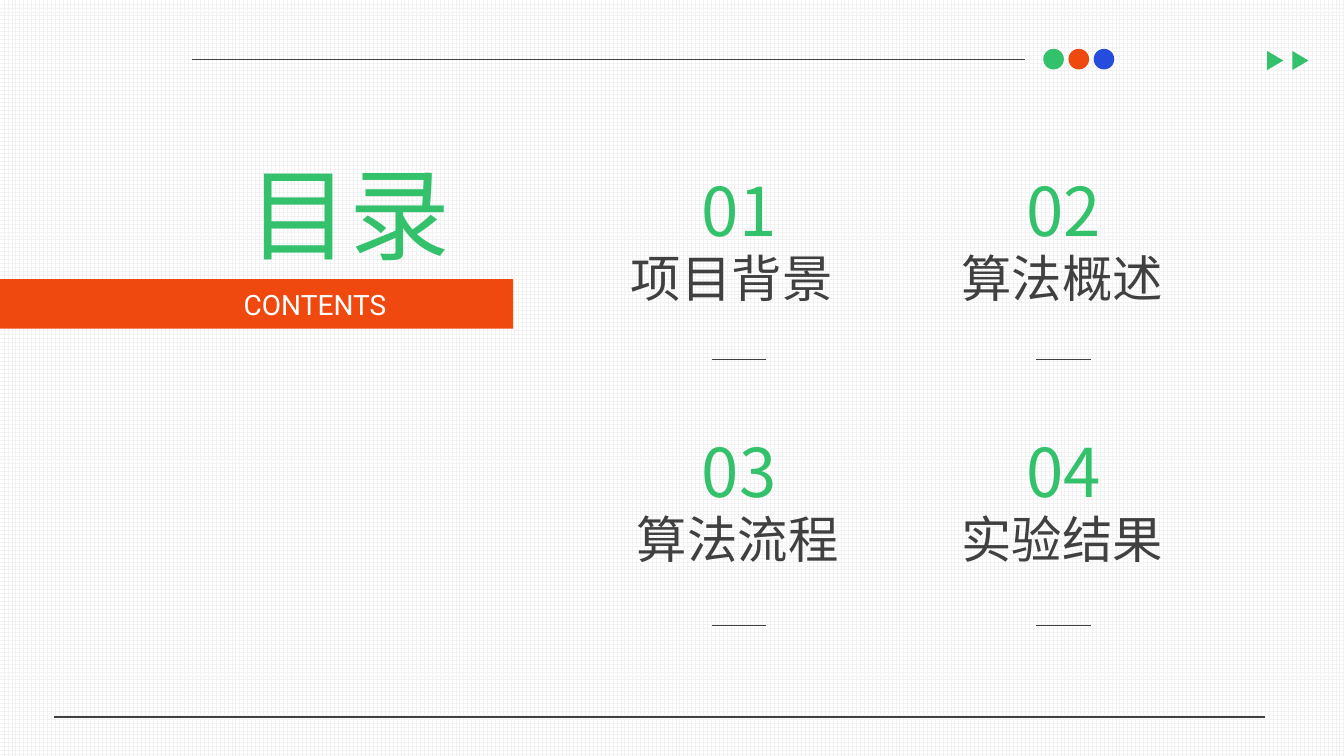
from lxml.etree import SubElement
from pptx import Presentation
from pptx.dml.color import RGBColor
from pptx.enum.dml import MSO_PATTERN
from pptx.enum.shapes import MSO_CONNECTOR, MSO_SHAPE
from pptx.enum.text import MSO_ANCHOR, MSO_AUTO_SIZE, PP_ALIGN
from pptx.oxml.ns import qn
from pptx.util import Pt

COLORS = {"green": "33C16B", "orange": "EF490F", "blue": "264CDD",
          "dark": "404040", "white": "FFFFFF", "grid": "F2F2F2"}
CJK = "Noto Sans CJK SC"
FORMATS = {
    "title": {"size": Pt(72), "name": CJK, "color": "green"},
    "subtitle": {"size": Pt(20), "name": "Roboto", "color": "white"},
    "number": {"size": Pt(48), "name": CJK, "color": "green"},
    "label": {"size": Pt(36), "name": CJK, "color": "dark"},
}


def rgb(color):
    return RGBColor.from_string(COLORS[color])


def place(part, left, top, width, height):
    box = {"left": left, "top": top, "width": width, "height": height}
    for side, length in box.items():
        setattr(part, side, Pt(length))


def write(part, text, style, align, wrap=True):
    frame = part.text_frame
    settings = {"word_wrap": wrap, "auto_size": MSO_AUTO_SIZE.SHAPE_TO_FIT_TEXT,
                "vertical_anchor": MSO_ANCHOR.TOP}
    for key, value in settings.items():
        setattr(frame, key, value)
    paragraph = frame.paragraphs[0]
    paragraph.alignment = align
    run = paragraph.add_run()
    run.text = text
    for key, value in FORMATS[style].items():
        if key == "color":
            run.font.color.rgb = rgb(value)
        else:
            setattr(run.font, key, value)
    # East Asian typeface
    SubElement(run.font._element, qn("a:ea"), typeface=FORMATS[style]["name"])


def add_text(slide, box, *text_format):
    part = slide.shapes.add_textbox(*map(Pt, box))
    write(part, *text_format)


def add_block(slide, preset, box, color, rotation=0):
    block = slide.shapes.add_shape(preset, *map(Pt, box))
    block.shadow.inherit = False
    block.fill.solid()
    block.fill.fore_color.rgb = rgb(color)
    block.line.fill.background()
    block.rotation = rotation


def add_rule(slide, left, top, width, weight):
    rule = slide.shapes.add_connector(
        MSO_CONNECTOR.STRAIGHT, Pt(left), Pt(top), Pt(left + width), Pt(top))
    rule.line.color.rgb = rgb("dark")
    rule.line.width = Pt(weight)
    SubElement(rule._element.spPr, qn("a:effectLst"))


def add_header(slide, left, top, width):
    """Rule, three dots and two arrows across the top."""
    add_rule(slide, left, top, width, 0.5)
    for i, color in enumerate(("green", "orange", "blue")):
        add_block(slide, MSO_SHAPE.OVAL,
                  (left + 608.4 + 18 * i, top - 7.6, 14.7, 14.7), color)
    for i in range(2):
        add_block(slide, MSO_SHAPE.ISOSCELES_TRIANGLE,
                  (left + 767.2 + 18 * i, top - 5, 13.7, 11.5), "green", 90)


def add_heading(slide, left, top):
    """Title above the orange band, which starts at the slide edge."""
    add_block(slide, MSO_SHAPE.RECTANGLE, (0, top + 94.3, 366.5, 35.3), "orange")
    title = slide.shapes.title
    place(title, left, top, 179.3, 94.3)
    write(title, "目录", "title", PP_ALIGN.JUSTIFY)
    add_text(slide, (left - 3.6, top + 96.5, 179.3, 31.7),
             "CONTENTS", "subtitle", PP_ALIGN.JUSTIFY)


def add_entry(slide, left, top, number, label, indent, rule_drop):
    """Number, label and short rule of one chapter."""
    add_text(slide, (left, top, 95.8, 65.5), number, "number", PP_ALIGN.CENTER)
    add_text(slide, (left - indent, top + 55.4, 159.8, 51.1),
             label, "label", PP_ALIGN.LEFT, False)
    add_rule(slide, left + 28.1, top + rule_drop, 38.9, 0.5)


def add_chapters(slide, left, top):
    """Two by two grid; each chapter gives its label and label indent."""
    chapters = [("项目背景", 36.7), ("算法概述", 32.4),
                ("算法流程", 32.4), ("实验结果", 32.4)]
    rule_drops = (139, 142.6)
    for i, (label, indent) in enumerate(chapters):
        row, column = divmod(i, 2)
        add_entry(slide, left + 231.8 * column, top + 186.5 * row,
                  f"{i + 1:02d}", label, indent, rule_drops[row])


def build_contents_slide(deck):
    slide = deck.slides.add_slide(deck.slide_layouts[5])
    # Grid background
    backdrop = slide.background.fill
    backdrop.patterned()
    backdrop.pattern = MSO_PATTERN.LARGE_GRID
    backdrop.fore_color.rgb = rgb("grid")
    backdrop.back_color.rgb = rgb("white")
    # Regions
    add_header(slide, 136.8, 42.5, 595.4)
    add_heading(slide, 170.6, 105.1)
    add_chapters(slide, 480.2, 117.4)
    # Footer rule
    add_rule(slide, 38.9, 511.9, 864.7, 1.5)


def main():
    deck = Presentation()
    deck.slide_width, deck.slide_height = Pt(960), Pt(540)
    build_contents_slide(deck)
    deck.save("out.pptx")


if __name__ == "__main__":
    main()
